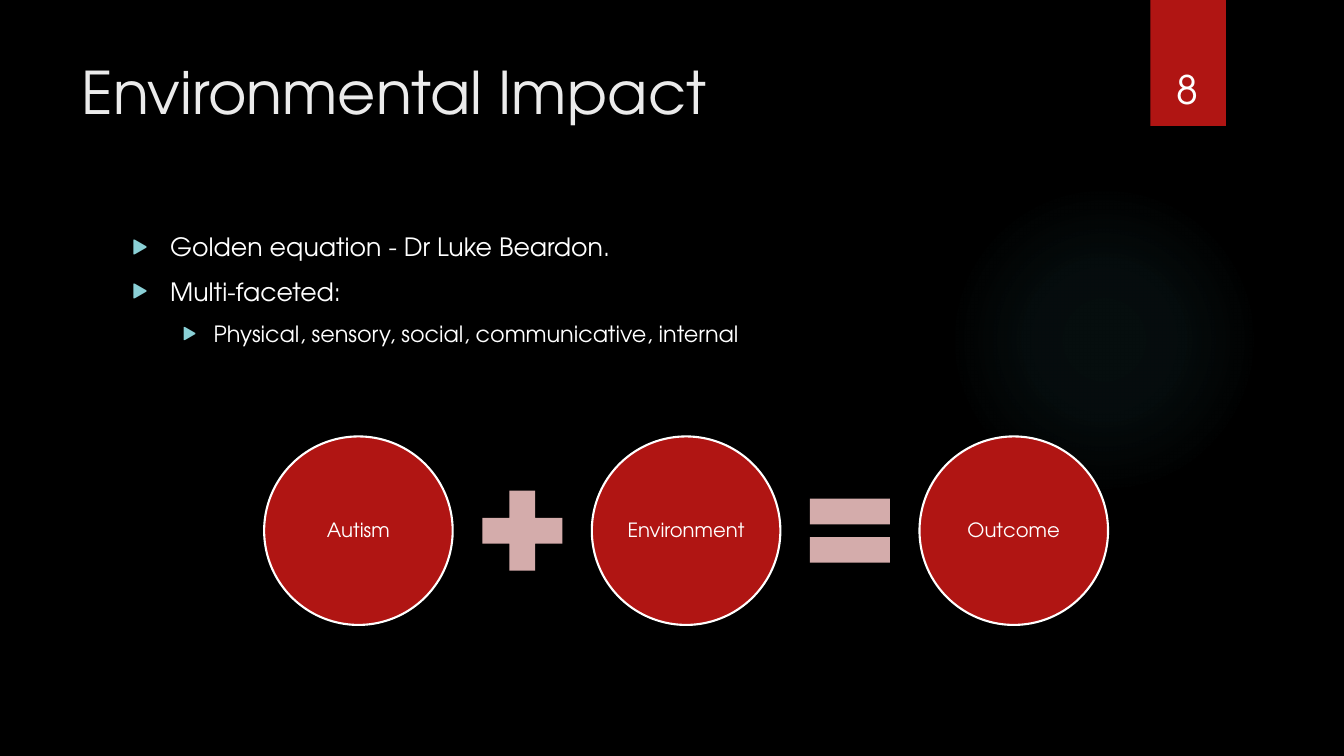
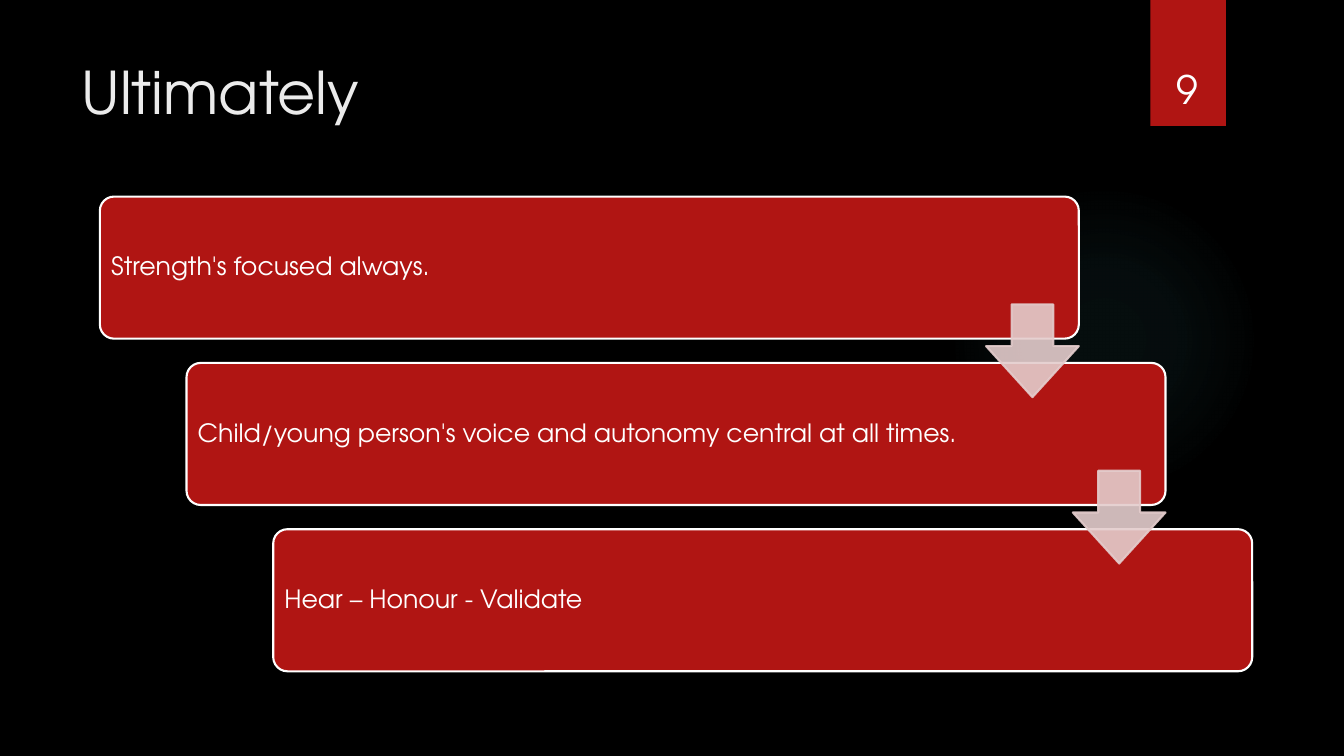
import pptx
import pptx.dml.color
import pptx.enum.shapes
import pptx.enum.text
import pptx.oxml.ns
import pptx.util
from lxml import etree

Inches, Pt = pptx.util.Inches, pptx.util.Pt
SHAPE = pptx.enum.shapes.MSO_SHAPE
ANCHOR = pptx.enum.text.MSO_ANCHOR
ALIGN = pptx.enum.text.PP_ALIGN
qn = pptx.oxml.ns.qn

FONT = "TeX Gyre Adventor"
BLACK, WHITE, TITLE_GREY = "000000", "FFFFFF", "EBEBEB"
RED, SYMBOL_PINK, ARROW_PINK = "B01513", "D4ACAB", "E4CCCC"
GLOW_TEAL, BULLET_TEAL = "50B9C1", "8AD0D6"

TITLE = {"size": Pt(42), "color": TITLE_GREY}
NUMBER = {"size": Pt(28), "color": WHITE}
BODY = {"size": Pt(18), "color": WHITE}
SMALL_BODY = {"size": Pt(16), "color": WHITE}
CIRCLE_LABEL = {"size": Pt(14), "color": WHITE}

BULLET_LEVELS = [
    {"style": BODY, "indent": 0.38, "hanging": 0.38},
    {"style": SMALL_BODY, "indent": 0.81, "hanging": 0.31},
]


def rgb(hex_color):
    return pptx.dml.color.RGBColor.from_string(hex_color)


def add_xml(parent, tag, **attributes):
    child = etree.SubElement(parent, qn(tag))
    for name, value in attributes.items():
        child.set(name, str(value))
    return child


def set_alpha(color_element, percent):
    add_xml(color_element, "a:alpha", val=percent * 1000)


def box(left, top, width, height):
    return [Inches(value) for value in (left, top, width, height)]


def write(paragraph, text, style, **paragraph_format):
    run = paragraph.add_run()
    run.text = text
    run.font.name = FONT
    run.font.size = style["size"]
    run.font.color.rgb = rgb(style["color"])
    for name, value in paragraph_format.items():
        setattr(paragraph, name, value)


def set_frame(frame, anchor, inset=None):
    """Wrap and anchor a text frame, with one inset for all sides if given."""
    values = {"word_wrap": True, "vertical_anchor": anchor,
              "auto_size": pptx.enum.text.MSO_AUTO_SIZE.NONE}
    if inset is not None:
        for side in ("left", "top", "right", "bottom"):
            values["margin_" + side] = Inches(inset)
    for name, value in values.items():
        setattr(frame, name, value)


def add_figure(slide, preset, place, fill, line=None, adjustments=()):
    figure = slide.shapes.add_shape(preset, *box(*place))
    figure.shadow.inherit = False
    figure.fill.solid()
    figure.fill.fore_color.rgb = rgb(fill)
    if line:
        figure.line.color.rgb = rgb(line)
        figure.line.width = Pt(1.5)
    else:
        figure.line.fill.background()
    for index, value in enumerate(adjustments):
        figure.adjustments[index] = value
    return figure


def add_label(figure, text, style, align, inset):
    set_frame(figure.text_frame, ANCHOR.MIDDLE, inset)
    write(figure.text_frame.paragraphs[0], text, style,
          alignment=align, line_spacing=0.9)


def add_glow(slide):
    """Add the faint disc that fades out towards its edge."""
    glow = add_figure(slide, SHAPE.OVAL, (9.41, 1.83, 3.08, 3.08), GLOW_TEAL)
    solid = glow.element.spPr.find(qn("a:solidFill"))
    gradient = etree.Element(qn("a:gradFill"), rotWithShape="1")
    stops = add_xml(gradient, "a:gsLst")
    for position, alpha in ((0, 7), (36, 6), (69, 0)):
        stop = add_xml(stops, "a:gs", pos=position * 1000)
        set_alpha(add_xml(stop, "a:srgbClr", val=GLOW_TEAL), alpha)
    circle = add_xml(gradient, "a:path", path="circle")
    add_xml(circle, "a:fillToRect", l=50000, t=50000, r=50000, b=50000)
    solid.getparent().replace(solid, gradient)


def add_slide(deck, title, number):
    """Add a slide with the shared glow, ribbon, title and number."""
    slide = deck.slides.add_slide(deck.slide_layouts[5])
    add_glow(slide)
    add_figure(slide, SHAPE.RECTANGLE, (11.41, 0, 0.75, 1.25), RED)

    heading = slide.shapes.title
    heading.left, heading.top, heading.width, heading.height = box(
        0.71, 0.5, 10.29, 1.53)
    set_frame(heading.text_frame, ANCHOR.TOP)
    write(heading.text_frame.paragraphs[0], title, TITLE, alignment=ALIGN.LEFT)

    page = slide.shapes.add_textbox(*box(11.32, 0.32, 0.92, 0.84))
    set_frame(page.text_frame, ANCHOR.BOTTOM)
    write(page.text_frame.paragraphs[0], str(number), NUMBER,
          alignment=ALIGN.CENTER)
    return slide


def add_bullets(slide, place, points):
    frame = slide.shapes.add_textbox(*box(*place)).text_frame
    set_frame(frame, ANCHOR.TOP)
    for index, (level, text) in enumerate(points):
        paragraph = frame.add_paragraph() if index else frame.paragraphs[0]
        look = BULLET_LEVELS[level]
        write(paragraph, text, look["style"], level=level, space_before=Pt(10))
        properties = paragraph._p.get_or_add_pPr()
        properties.set("marL", str(Inches(look["indent"])))
        properties.set("indent", str(-Inches(look["hanging"])))
        add_xml(add_xml(properties, "a:buClr"), "a:srgbClr", val=BULLET_TEAL)
        add_xml(properties, "a:buSzPct", val=80000)
        add_xml(properties, "a:buFont", typeface=FONT)
        add_xml(properties, "a:buChar", char="▶")


def add_equation(slide, terms, symbols):
    """Add a row of circles with a symbol between each two."""
    left, top, pitch, diameter, symbol_size = 2.62, 4.33, 3.25, 1.87, 1.08
    for index, term in enumerate(terms):
        circle = add_figure(
            slide, SHAPE.OVAL,
            (left + index * pitch, top, diameter, diameter), RED, WHITE)
        add_label(circle, term, CIRCLE_LABEL, ALIGN.CENTER, 0.02)
    symbol_left = left + (pitch + diameter - symbol_size) / 2
    symbol_top = top + (diameter - symbol_size) / 2
    for index, symbol in enumerate(symbols):
        add_figure(slide, symbol,
                   (symbol_left + index * pitch, symbol_top,
                    symbol_size, symbol_size), SYMBOL_PINK)


def add_staircase(slide, steps):
    """Add cards stepping down to the right, with arrows between them."""
    left, top, width, height = 0.99, 1.95, 9.71, 1.41
    shift, drop, arrow_size, arrow_drop = 0.86, 1.65, 0.92, 1.07
    corners = [(left + index * shift, top + index * drop)
               for index in range(len(steps))]
    for (card_left, card_top), step in zip(corners, steps):
        card = add_figure(slide, SHAPE.ROUNDED_RECTANGLE,
                          (card_left, card_top, width, height),
                          RED, WHITE, (0.1,))
        add_label(card, step, BODY, ALIGN.LEFT, 0.07)
    for card_left, card_top in corners[:-1]:
        arrow = add_figure(slide, SHAPE.DOWN_ARROW,
                           (card_left + width - arrow_size,
                            card_top + arrow_drop, arrow_size, arrow_size),
                           ARROW_PINK, ARROW_PINK, (0.45, 0.55))
        for color in arrow.element.spPr.iter(qn("a:srgbClr")):
            set_alpha(color, 90)


def main():
    deck = pptx.Presentation()
    deck.slide_width, deck.slide_height = Inches(13.33), Inches(7.5)
    background = deck.slide_master.background.fill
    background.solid()
    background.fore_color.rgb = rgb(BLACK)

    impact = add_slide(deck, "Environmental Impact", 8)
    add_bullets(impact, (1.21, 2.25, 9.78, 4.59), [
        (0, "Golden equation - Dr Luke Beardon."),
        (0, "Multi-faceted:"),
        (1, "Physical, sensory, social, communicative, internal"),
    ])
    add_equation(impact, ["Autism", "Environment", "Outcome"],
                 [SHAPE.MATH_PLUS, SHAPE.MATH_EQUAL])

    ultimately = add_slide(deck, "Ultimately", 9)
    add_staircase(ultimately, [
        "Strength's focused always.",
        "Child/young person's voice and autonomy central at all times.",
        "Hear – Honour - Validate",
    ])
    deck.save("out.pptx")


if __name__ == "__main__":
    main()
